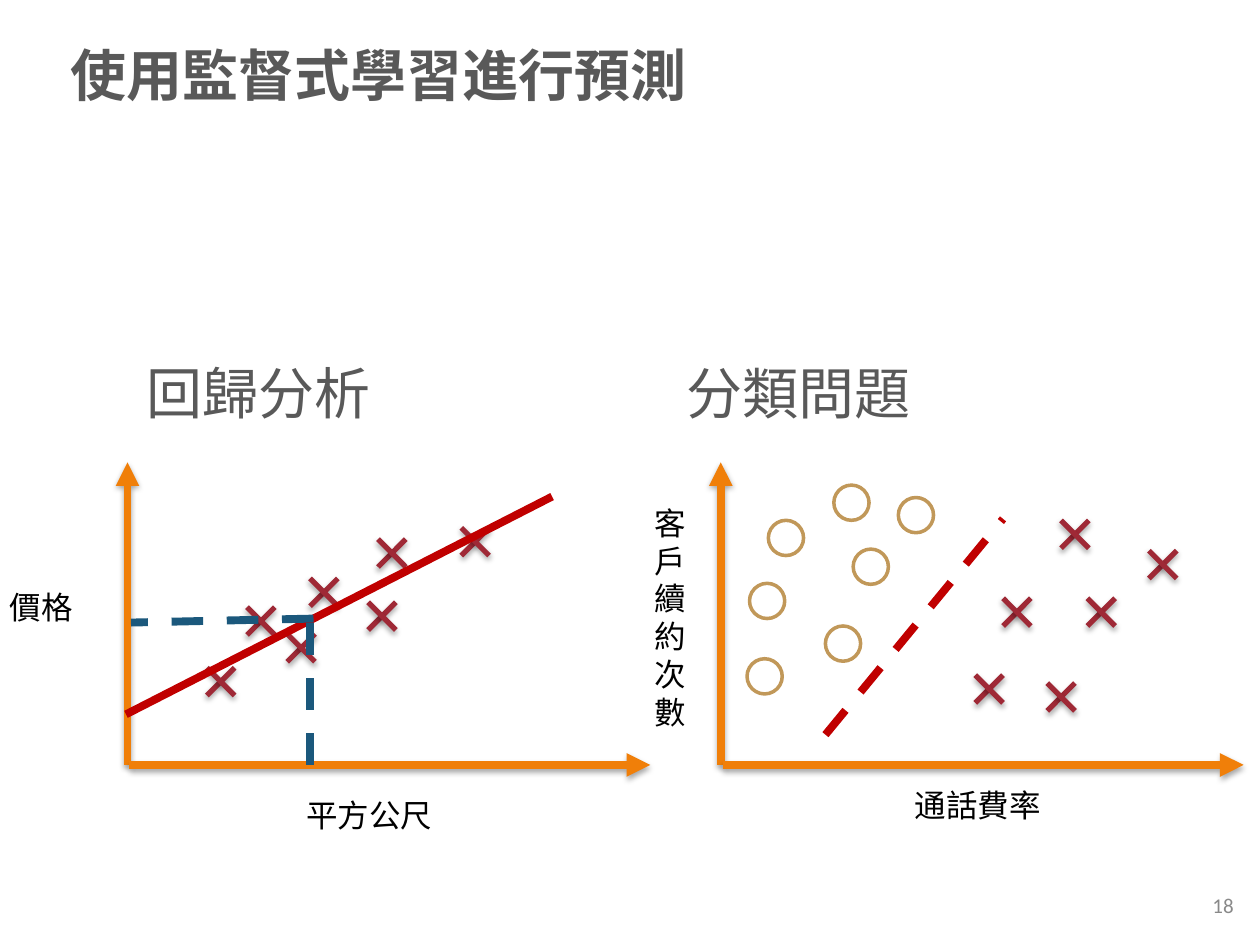
from lxml import etree
from pptx import Presentation
from pptx import util as u
from pptx.dml.color import RGBColor
from pptx.enum import dml, shapes, text
from pptx.oxml.ns import qn

COLOURS = {
    "heading": "595959",
    "label": "000000",
    "number": "898989",
    "axis": "F07F09",
    "cross": "9F2936",
    "circle": "C19859",
    "fit": "C00000",
    "reading": "1B587C",
}
AXIS_TOP, AXIS_BASE, AXIS_WIDTH = 9.32, 15.42, 10.5
CROSS_SIZE, CIRCLE_SIZE = 0.56, 0.71

LEFT_ORIGIN, RIGHT_ORIGIN = 2.57, 14.53
HOMES = [(4.17, 13.46), (4.98, 12.24), (5.79, 12.78), (6.25, 11.66),
         (7.42, 12.14), (7.62, 10.87), (9.3, 10.64)]
LEAVING = [(21.11, 13.77), (20.22, 12.06), (21.92, 12.06),
           (19.66, 13.61), (21.39, 10.49), (23.16, 11.1)]
RENEWING = [(15.49, 10.49), (16.81, 9.78), (18.11, 10.03), (17.2, 11.07),
            (15.11, 11.76), (16.64, 12.62), (15.06, 13.28)]


class Sketch:
    def __init__(self, slide, font="Arial"):
        self.slide = slide
        self.font = font

    def colour(self, name):
        return RGBColor.from_string(COLOURS[name])

    def words(self, content, left, top, width, height, size=18, colour="label",
              bold=False, font=None, align=text.PP_ALIGN.LEFT,
              anchor=text.MSO_ANCHOR.MIDDLE, wrap=True):
        frame = self.slide.shapes.add_textbox(
            u.Cm(left), u.Cm(top), u.Cm(width), u.Cm(height)).text_frame
        frame.word_wrap = wrap
        frame.vertical_anchor = anchor
        frame.text = content
        for paragraph in frame.paragraphs:
            paragraph.alignment = align
            paragraph.font.name = font or self.font
            paragraph.font.size = u.Pt(size)
            paragraph.font.bold = bold
            paragraph.font.color.rgb = self.colour(colour)

    def label(self, content, left, top, width, height=1.02):
        self.words(content, left, top, width, height,
                   anchor=text.MSO_ANCHOR.TOP, wrap=False)

    def line(self, start, end, colour, weight=4.5, dashed=False,
             arrow=False, shadow=False, parent=None):
        stroke = (parent or self.slide).shapes.add_connector(
            shapes.MSO_CONNECTOR.STRAIGHT, *map(u.Cm, start + end))
        stroke.line.color.rgb = self.colour(colour)
        stroke.line.width = u.Pt(weight)
        if dashed:
            stroke.line.dash_style = dml.MSO_LINE.DASH
        properties = stroke._element.spPr
        if arrow:
            etree.SubElement(properties.find(qn("a:ln")), qn("a:tailEnd"), type="triangle")
        effects = etree.SubElement(properties, qn("a:effectLst"))
        if shadow:
            outer = etree.SubElement(effects, qn("a:outerShdw"), blurRad="40000",
                                     dist="23000", dir="5400000", rotWithShape="0")
            black = etree.SubElement(outer, qn("a:srgbClr"), val="000000")
            etree.SubElement(black, qn("a:alpha"), val="35000")

    def axes(self, origin):
        for start, end in (
            ((origin, AXIS_BASE), (origin, AXIS_TOP)),
            ((origin + 0.04, AXIS_BASE), (origin + 0.04 + AXIS_WIDTH, AXIS_BASE)),
        ):
            self.line(start, end, "axis", arrow=True, shadow=True)

    def cross(self, left, top):
        group = self.slide.shapes.add_group_shape()
        right, bottom = left + CROSS_SIZE, top + CROSS_SIZE
        for start, end in (((right, top), (left, bottom)), ((left, top), (right, bottom))):
            self.line(start, end, "cross", 3, shadow=True, parent=group)

    def circle(self, left, top):
        ring = self.slide.shapes.add_shape(
            shapes.MSO_SHAPE.OVAL, u.Cm(left), u.Cm(top),
            u.Cm(CIRCLE_SIZE), u.Cm(CIRCLE_SIZE))
        ring.shadow.inherit = False
        ring.fill.background()
        ring.line.color.rgb = self.colour("circle")
        ring.line.width = u.Pt(2)


def main():
    deck = Presentation()
    deck.slide_width, deck.slide_height = u.Cm(25.4), u.Cm(19.05)
    sketch = Sketch(deck.slides.add_slide(deck.slide_layouts[6]))

    sketch.words("使用監督式學習進行預測", 1.17, 0.71, 22.86, 1.55,
                 size=32, colour="heading", bold=True)
    sketch.words("18", 19.2, 17.73, 5.92, 1.02, size=12, colour="number",
                 font="Calibri", align=text.PP_ALIGN.RIGHT)
    for heading, left in (("回歸分析", 2.7), ("分類問題", 13.58)):
        sketch.words(heading, left, 7.1, 6, 1.6, size=32, colour="heading")

    sketch.axes(LEFT_ORIGIN)
    sketch.label("價格", -0.05, 11.73, 1.8)
    sketch.label("平方公尺", 5.92, 15.93, 3.07)
    for home in HOMES:
        sketch.cross(*home)
    sketch.line((2.54, 14.4), (11.13, 10.01), "fit")

    sketch.axes(RIGHT_ORIGIN)
    for customer in LEAVING:
        sketch.cross(*customer)
    for customer in RENEWING:
        sketch.circle(*customer)
    sketch.line((16.64, 14.81), (20.22, 10.46), "fit", dashed=True)
    sketch.label("通話費率", 18.19, 15.72, 3.07)
    sketch.label("\n".join("客戶續約次數"), 12.95, 10.03, 1.14, 4.88)

    sketch.line((6.25, 15.42), (6.25, 12.45), "reading", dashed=True)
    sketch.line((6.32, 12.47), (2.64, 12.55), "reading", dashed=True)

    deck.save("out.pptx")


if __name__ == "__main__":
    main()
